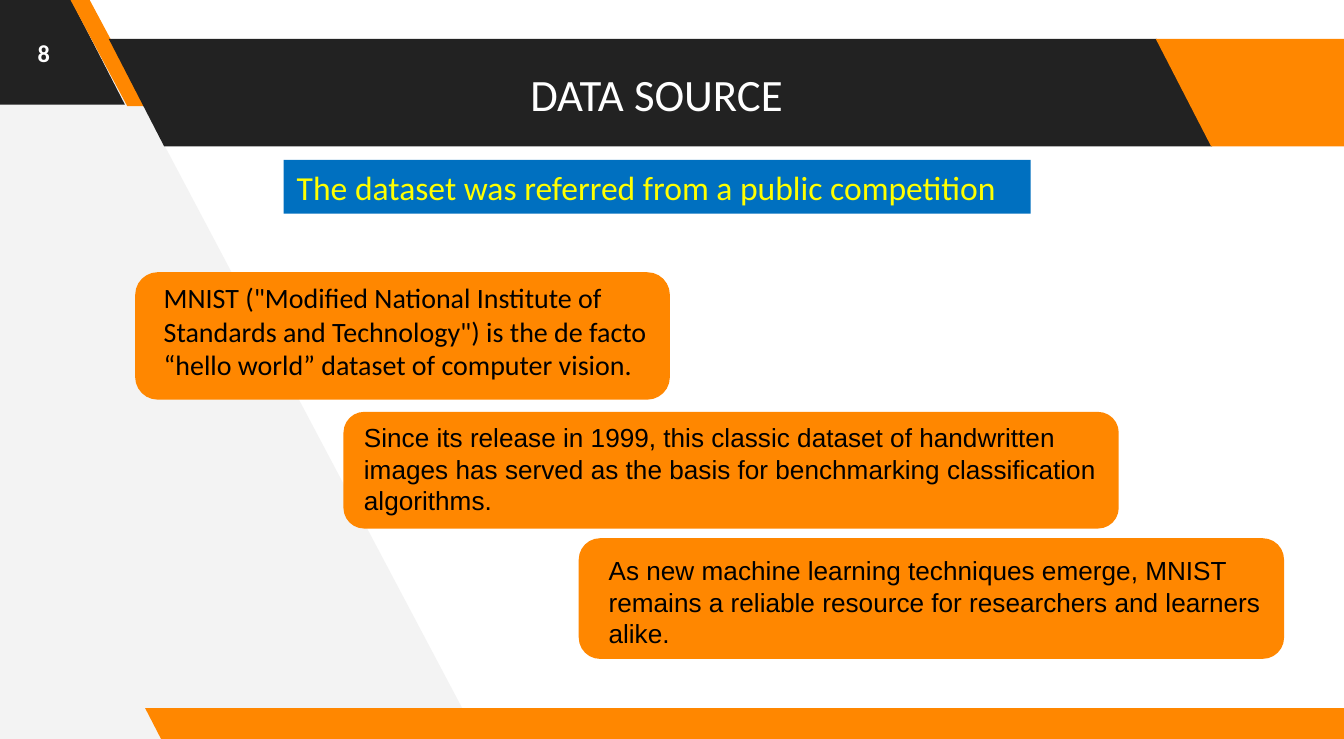
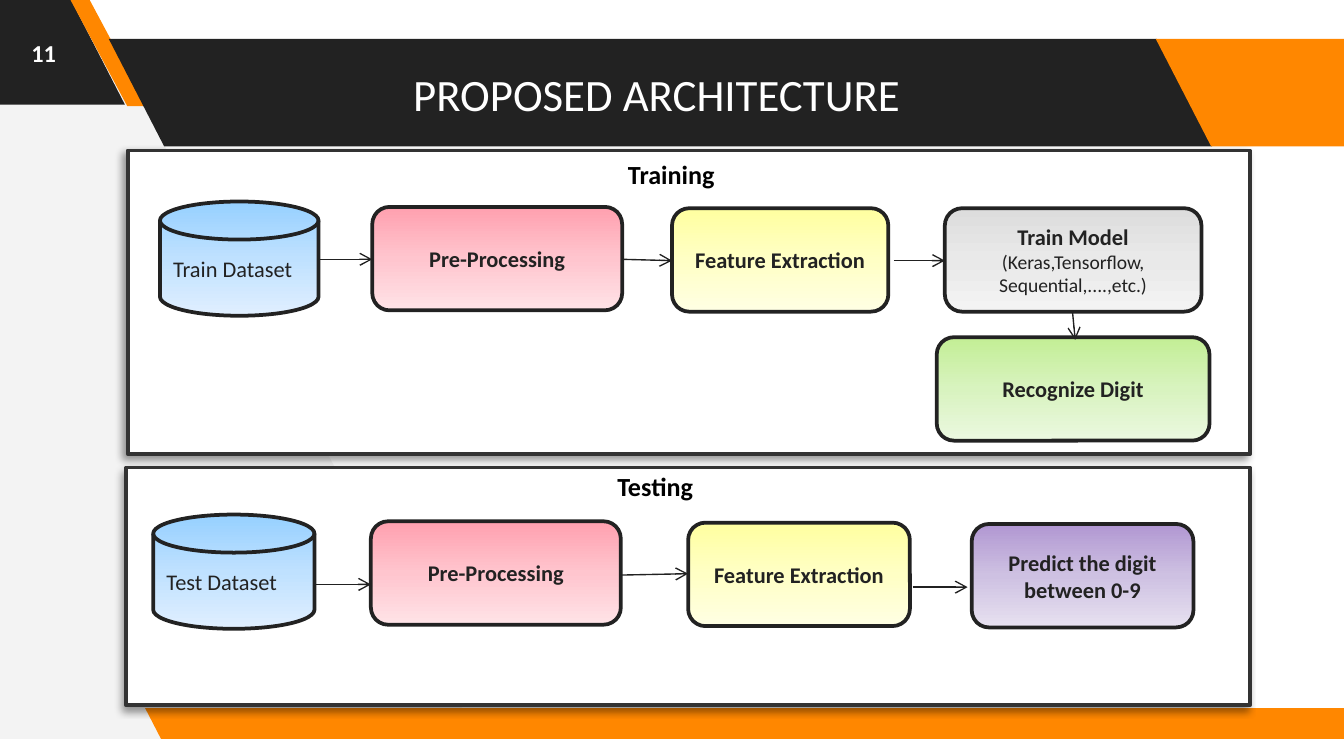
from copy import deepcopy
from dataclasses import dataclass

from lxml import etree
from pptx import Presentation
from pptx.dml.color import RGBColor
from pptx.enum.shapes import MSO_CONNECTOR, MSO_SHAPE
from pptx.enum.text import MSO_ANCHOR, MSO_AUTO_SIZE, PP_ALIGN
from pptx.oxml.ns import qn
from pptx.util import Inches, Pt

RECTANGLE = MSO_SHAPE.RECTANGLE
ROUNDED = MSO_SHAPE.ROUNDED_RECTANGLE
DISK = MSO_SHAPE.FLOWCHART_MAGNETIC_DISK
SLANTED = MSO_SHAPE.PARALLELOGRAM
STRAIGHT = MSO_CONNECTOR.STRAIGHT
LEFT, CENTER = PP_ALIGN.LEFT, PP_ALIGN.CENTER
TOP, MIDDLE = MSO_ANCHOR.TOP, MSO_ANCHOR.MIDDLE
TITLE_ONLY = 5


@dataclass(frozen=True)
class Theme:
    orange: str = "FF8700"
    dark: str = "222222"
    pale: str = "F3F3F3"
    white: str = "FFFFFF"
    black: str = "000000"
    banner: str = "0070C0"
    banner_text: str = "FFFF00"
    panel_line: str = "333333"
    arrow: str = "212121"
    # Vertical gradients, top to bottom
    blue: tuple = ("96D0FF", "BFE1FF", "E0EFFF")
    pink: tuple = ("FFA0AF", "FFC5CE", "FFE3E7")
    yellow: tuple = ("FFFFA0", "FFFFC5", "FFFFE3")
    gray: tuple = ("DDDDDD", "E9E9E9", "F3F3F3")
    green: tuple = ("C3EE95", "D8F3BF", "EBF8E0")
    purple: tuple = ("B197D2", "CEC1E2", "E7E1F0")
    font: str = "Calibri"
    body_font: str = "Arial"
    title_size: float = 24
    banner_size: float = 18
    lead_size: float = 15
    body_size: float = 14
    number_size: float = 13
    step_size: float = 12
    detail_size: float = 10.5
    outline: float = 2
    arrow_width: float = 0.75


THEME = Theme()


def color(code):
    return RGBColor.from_string(code)


def lengths(box):
    return [Inches(value) for value in box]


# Basic parts

def paint_gradient(shape, codes):
    shape.fill.gradient()
    shape.fill.gradient_angle = 270
    stop_list = shape.element.spPr.find(".//" + qn("a:gsLst"))
    stop_list.insert(1, deepcopy(stop_list[0]))
    for stop, code, position in zip(shape.fill.gradient_stops, codes, (0, 0.5, 1)):
        stop.color.rgb = color(code)
        stop.position = position


def add_block(page, kind, box, fill, line=None):
    shape = page.shapes.add_shape(kind, *lengths(box))
    shape.shadow.inherit = False
    if isinstance(fill, tuple):
        paint_gradient(shape, fill)
    else:
        shape.fill.solid()
        shape.fill.fore_color.rgb = color(fill)
    if line:
        shape.line.color.rgb = color(line)
        shape.line.width = Pt(THEME.outline)
    else:
        shape.line.fill.background()
    return shape


def write(shape, lines, size, code, align=LEFT, anchor=TOP, bold=False,
          font=THEME.font, inset=None, wrap=True):
    frame = shape.text_frame
    frame.auto_size = MSO_AUTO_SIZE.NONE
    frame.word_wrap = wrap
    frame.vertical_anchor = anchor
    if inset is not None:
        frame.margin_left = frame.margin_right = Inches(inset)
        frame.margin_top = frame.margin_bottom = Inches(inset)
    frame.text = lines
    for para in frame.paragraphs:
        para.alignment = align
        para.font.name = font
        para.font.size = Pt(size)
        para.font.bold = bold
        para.font.color.rgb = color(code)


def add_text(page, box, lines, size, code, **style):
    write(page.shapes.add_textbox(*lengths(box)), lines, size, code, **style)


def add_arrow(page, start, end):
    arrow = page.shapes.add_connector(STRAIGHT, *lengths(start + end))
    arrow.line.color.rgb = color(THEME.arrow)
    arrow.line.width = Pt(THEME.arrow_width)
    etree.SubElement(arrow.line._get_or_add_ln(), qn("a:tailEnd"), type="arrow")
    etree.SubElement(arrow.element.spPr, qn("a:effectLst"))


def add_soft_shadow(shape):
    effects = shape.element.spPr.find(qn("a:effectLst"))
    shadow = etree.SubElement(effects, qn("a:outerShdw"), blurRad=str(Pt(4)),
                              dist=str(Pt(3)), dir="8100000", rotWithShape="0")
    tone = etree.SubElement(shadow, qn("a:srgbClr"), val=THEME.black)
    etree.SubElement(tone, qn("a:alpha"), val="40000")


# Shared frame: side wedge, slanted bands, title and page number

def add_bands(page):
    outline = page.shapes.build_freeform(Inches(3.56), Inches(5.5), scale=1.0)
    corners = [(0.63, -0.04), (-0.06, -0.04), (-0.02, 5.54)]
    outline.add_line_segments([lengths(corner) for corner in corners], close=True)
    wedge = outline.convert_to_shape()
    wedge.shadow.inherit = False
    wedge.fill.solid()
    wedge.fill.fore_color.rgb = color(THEME.pale)
    wedge.line.fill.background()

    bands = [
        ((-0.99, -0.02, 1.92, 0.8), THEME.dark, 0.515),
        ((0.52, -0.01, 0.57, 0.8), THEME.orange, 0.75),
        ((0.81, 0.29, 8.21, 0.8), THEME.dark, 0.515),
        ((8.6, 0.29, 1.92, 0.8), THEME.orange, 0.515),
        ((1.08, 5.27, 9.15, 0.24), THEME.orange, 0.515),
    ]
    for box, fill, slant in bands:
        band = add_block(page, SLANTED, box, fill)
        band.adjustments[0] = slant
        band.element.spPr.xfrm.set("flipH", "1")


def add_page(deck, title, number):
    page = deck.slides.add_slide(deck.slide_layouts[TITLE_ONLY])
    add_bands(page)
    heading = page.shapes.title
    heading.left, heading.top, heading.width, heading.height = lengths((1.21, 0.3, 7.35, 0.8))
    write(heading, title, THEME.title_size, THEME.white,
          align=CENTER, anchor=MIDDLE, inset=0.1)
    # Bring the title in front of the bands
    heading.element.getparent().append(heading.element)
    add_text(page, (0, 0, 0.65, 0.78), number, THEME.number_size, THEME.white,
             align=CENTER, anchor=MIDDLE, bold=True, inset=0.1)
    return page


# Data source slide

def add_card(page, box, text_offset, text_size, words, size, font):
    add_block(page, ROUNDED, box, THEME.orange, THEME.orange)
    text_box = (box[0] + text_offset[0], box[1] + text_offset[1]) + text_size
    add_text(page, text_box, words, size, THEME.black, font=font)


def build_data_source(deck):
    page = add_page(deck, "DATA SOURCE", "8")
    banner = add_block(page, RECTANGLE, (2.11, 1.19, 5.56, 0.4), THEME.banner)
    write(banner, "The dataset was referred from a public competition",
          THEME.banner_size, THEME.banner_text, wrap=False)
    add_card(page, (1.02, 2.04, 3.95, 0.92), (0.1, 0), (4.33, 0.86),
             'MNIST ("Modified National Institute of Standards and Technology") '
             "is the de facto “hello world” dataset of computer vision.",
             THEME.lead_size, THEME.font)
    add_card(page, (2.57, 3.08, 5.74, 0.84), (0.04, 0.01), (5.83, 0.81),
             "Since its release in 1999, this classic dataset of handwritten images "
             "has served as the basis for benchmarking classification algorithms.",
             THEME.body_size, THEME.body_font)
    add_card(page, (4.32, 4.02, 5.22, 0.87), (0.11, 0.06), (5.25, 0.81),
             "As new machine learning techniques emerge, MNIST remains a reliable "
             "resource for researchers and learners alike.",
             THEME.body_size, THEME.body_font)


# Architecture slide: steps and arrows are placed from the panel's corner

def add_step(page, left, top, width, fill, words):
    step = add_block(page, ROUNDED, (left, top, width, 0.77), fill, THEME.dark)
    write(step, words, THEME.step_size, THEME.dark,
          align=CENTER, anchor=MIDDLE, bold=True)
    for detail in step.text_frame.paragraphs[1:]:
        detail.font.size = Pt(THEME.detail_size)
        detail.font.bold = False


def add_panel(page, box, caption, caption_at, dataset, dataset_box, steps, arrows):
    left, top = box[:2]

    def place(x, y):
        return left + x, top + y

    panel = add_block(page, RECTANGLE, box, THEME.white, THEME.panel_line)
    add_soft_shadow(panel)
    x, y, width = dataset_box
    disk = add_block(page, DISK, place(x, y) + (width, 0.85), THEME.blue, THEME.dark)
    write(disk, dataset, THEME.step_size, THEME.dark, anchor=MIDDLE)
    for x, y, width, fill, words in steps:
        add_step(page, *place(x, y), width, fill, words)
    add_text(page, place(*caption_at) + (2.71, 0.34), caption, THEME.body_size,
             THEME.black, align=CENTER, bold=True)
    for start, end in arrows:
        add_arrow(page, place(*start), place(*end))


def build_architecture(deck):
    page = add_page(deck, "PROPOSED ARCHITECTURE", "11")
    add_panel(
        page, (0.95, 1.12, 8.35, 2.26), "Training", (2.69, 0.01),
        "Train Dataset", (0.24, 0.38, 1.18),
        steps=[
            (1.82, 0.42, 1.86, THEME.pink, "Pre-Processing"),
            (4.05, 0.43, 1.61, THEME.yellow, "Feature Extraction"),
            (6.08, 0.43, 1.91, THEME.gray,
             "Train Model\n(Keras,Tensorflow, Sequential,....,etc.)"),
            (6.02, 1.39, 2.03, THEME.green, "Recognize Digit"),
        ],
        arrows=[
            ((1.41, 0.81), (1.82, 0.81)),
            ((3.68, 0.81), (4.05, 0.82)),
            ((5.7, 0.82), (6.08, 0.82)),
            ((7.03, 1.2), (7.05, 1.41)),
        ],
    )
    add_panel(
        page, (0.94, 3.48, 8.36, 1.77), "Testing", (2.58, -0.03),
        "Test Dataset", (0.2, 0.35, 1.2),
        steps=[
            (1.82, 0.4, 1.86, THEME.pink, "Pre-Processing"),
            (4.18, 0.41, 1.65, THEME.yellow, "Feature Extraction"),
            (6.29, 0.42, 1.65, THEME.purple, "Predict the digit between 0-9"),
        ],
        arrows=[
            ((1.41, 0.87), (1.82, 0.87)),
            ((3.68, 0.8), (4.18, 0.79)),
            ((5.85, 0.89), (6.26, 0.89)),
        ],
    )


def main():
    deck = Presentation()
    deck.slide_width, deck.slide_height = Inches(10), Inches(5.5)
    build_data_source(deck)
    build_architecture(deck)
    deck.save("out.pptx")


if __name__ == "__main__":
    main()
